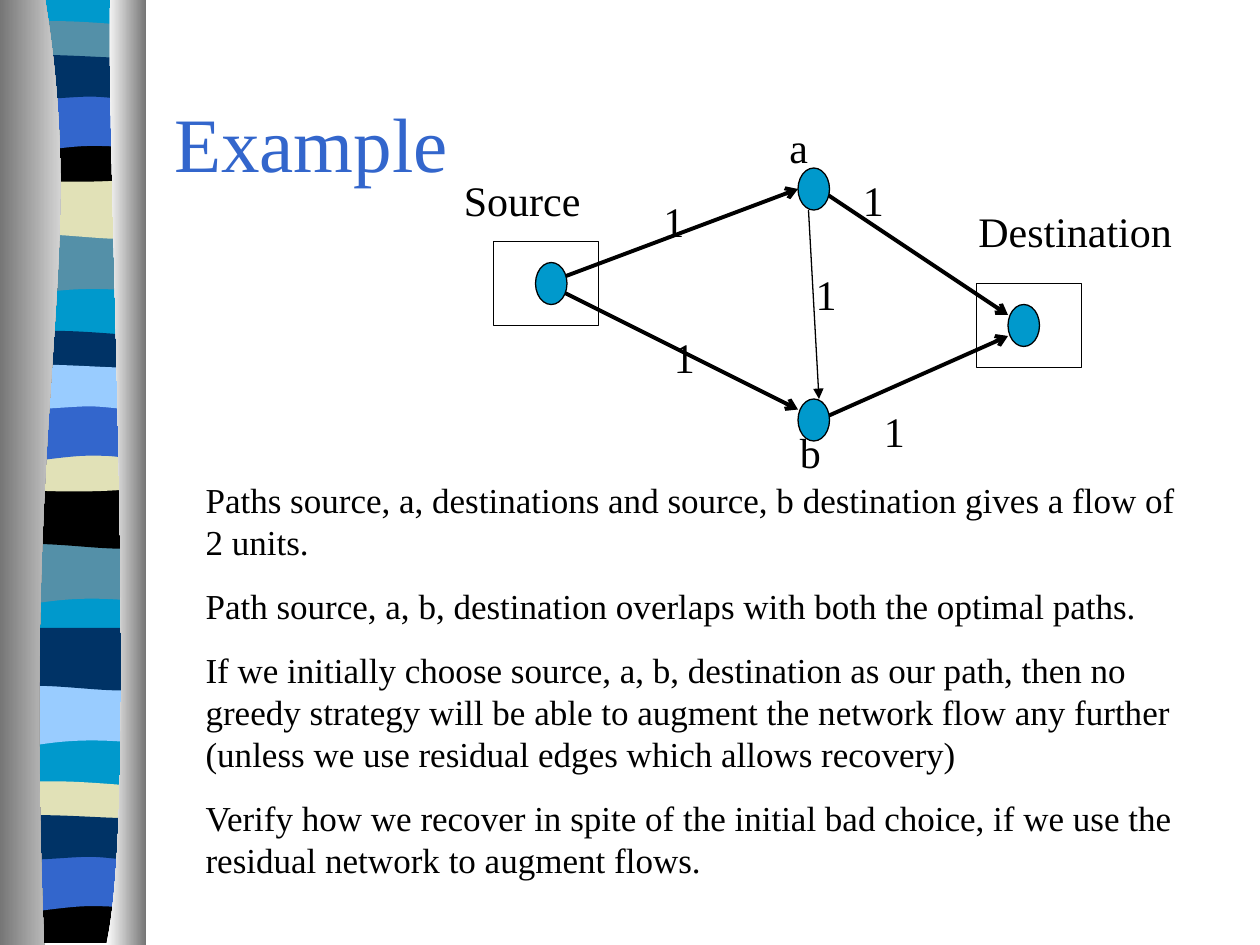
from pptx import Presentation
from pptx import util as u
from pptx.dml.color import RGBColor
from pptx.enum import shapes, text
from pptx.oxml.ns import qn
from lxml import etree

COLUMNS, ROWS = 120, 90
CELL = u.Inches(10) / COLUMNS
FONT = "Times New Roman"

BLACK = RGBColor(0x00, 0x00, 0x00)
WHITE = RGBColor(0xFF, 0xFF, 0xFF)
GRAY = RGBColor(0x76, 0x76, 0x76)
CYAN = RGBColor(0x00, 0x99, 0xCC)
TEAL = RGBColor(0x54, 0x90, 0xA8)
NAVY = RGBColor(0x00, 0x33, 0x66)
BLUE = RGBColor(0x33, 0x66, 0xCC)
SKY = RGBColor(0x99, 0xCC, 0xFF)
CREAM = RGBColor(0xE1, 0xE1, 0xB7)

FLAT = [(0, 0), (1, 0)]
CREST = [(0, 0), (0.06, -0.6), (0.22, -0.48), (0.39, -0.48),
         (0.56, -0.48), (0.87, -0.12), (1, 0)]
SWELL = [(0, 0), (0.14, -0.6), (0.68, 0), (0.84, 0),
         (1.01, 0), (0.96, 0), (1, 0)]
HUMP = [(0, 0), (0.1, 0.6), (0.45, 0), (0.61, 0),
        (0.78, 0), (0.94, 0.6), (1, 0)]
ARCH = [(0, 0), (0.16, 0), (0.44, -0.7), (0.61, -0.7),
        (0.78, -0.7), (0.84, -0.7), (1, 0)]
SAG = [(0, 0), (0.17, 0.54), (0.83, 0.54), (1, 0)]
BEND = [(0, 0), (0.61, 0.6), (0.79, 0), (1, 0)]
RIPPLE = [(0, 0), (0.31, -0.7), (0.83, 0.84), (1, 0)]
DIP = [(0, 0), (0.17, 0.96), (0.31, -0.96), (1, 0)]

BANDS = {
    "dip": (19.6, 5.7, FLAT, DIP),
    "ripple": (14.3, 5.7, FLAT, RIPPLE),
    "crest": (0, 2.9, CREST, SAG),
    "bend": (10.4, 4, BEND, SAG),
    "arch": (6.4, 5.7, FLAT, ARCH),
    "swell": (3, 3.7, SWELL, HUMP),
    "end": (10.5, 4.4, BEND, FLAT),
}
MOTIFS = [
    (0.7, 2.5, dict(dip=TEAL, ripple=CREAM, crest=TEAL,
                    bend=BLACK, arch=BLUE, swell=NAVY)),
    (0.6, 32, dict(dip=TEAL, ripple=BLACK, crest=NAVY,
                   bend=CREAM, arch=BLUE, swell=SKY)),
    (0.6, 45.5, dict(dip=SKY, ripple=NAVY)),
    (0.6, 74.9, dict(crest=CREAM, end=BLACK, arch=BLUE, swell=NAVY)),
]

STATEMENTS = [
    "Paths source, a, destinations and source, b destination gives a flow of 2 units.",
    "Path source, a, b, destination overlaps with both the optimal paths.",
    "If we initially choose source, a, b, destination as our path, then no greedy "
    "strategy will be able to augment the network flow any further "
    "(unless we use residual edges which allows recovery)",
    "Verify how we recover in spite of the initial bad choice, if we use the "
    "residual network to augment flows.",
]


def grid(*lengths):
    return [u.Emu(round(length * CELL)) for length in lengths]


def add_outline(slide, edges):
    corners = [grid(*point) for edge in edges for point in edge]
    builder = slide.shapes.build_freeform(*corners[0], scale=1.0)
    builder.add_line_segments(corners[1:], close=True)
    shape = builder.convert_to_shape()
    shape.shadow.inherit = False
    shape.line.fill.background()
    lines = list(shape._element.iter(qn("a:lnTo")))
    first = 0
    for edge in edges:
        if len(edge) > 2:
            for start in range(first, first + len(edge) - 1, 3):
                bend_curve(lines[start:start + 3])
        first += len(edge)
    return shape


def bend_curve(lines):
    curve = etree.Element(qn("a:cubicBezTo"))
    lines[0].addprevious(curve)
    for line in lines:
        curve.append(line[0])
        line.getparent().remove(line)


def add_band(slide, left, top, width, height, upper, lower, color):
    upper_edge = [(left + x * width, top + y) for x, y in upper]
    lower_edge = [(left + x * width, top + height + y) for x, y in reversed(lower)]
    shape = add_outline(slide, [upper_edge, lower_edge])
    shape.fill.solid()
    shape.fill.fore_color.rgb = color


def add_ribbon(slide, left, top, width, height):
    band_width = width - 1
    add_band(slide, left + 0.7, top, band_width, height - 0.3, FLAT, FLAT, CYAN)
    for indent, start, colors in MOTIFS:
        for name, color in colors.items():
            offset, *band = BANDS[name]
            add_band(slide, left + indent, top + start + offset, band_width, *band, color)
    covers = [
        (0, [(4.3, 0), (8.5, 26), (2, 35.5), (4.2, height)], GRAY, WHITE),
        (width, [(10.5, 0), (10.1, 15), (13.3, 77.5), (10.1, height)], WHITE, GRAY),
    ]
    for side, edge, first, last in covers:
        inner = [(left + x, top + y) for x, y in edge]
        outer = [(left + side, top + height), (left + side, top)]
        shape = add_outline(slide, [inner, outer])
        shape.fill.gradient()
        shape.fill.gradient_angle = 0
        for stop, color in zip(shape.fill.gradient_stops, (first, last)):
            stop.color.rgb = color


def add_run(paragraph, words, size, color=BLACK):
    run = paragraph.add_run()
    run.text = words
    run.font.name = FONT
    run.font.size = u.Pt(size)
    run.font.color.rgb = color


def add_text(slide, box, paragraphs, size, space=0):
    frame = slide.shapes.add_textbox(*grid(*box)).text_frame
    frame.word_wrap = True
    for index, words in enumerate(paragraphs):
        paragraph = frame.add_paragraph() if index else frame.paragraphs[0]
        paragraph.space_before = u.Pt(space)
        add_run(paragraph, words, size)


def add_preset(slide, kind, box, color=None):
    shape = slide.shapes.add_shape(kind, *grid(*box))
    shape.shadow.inherit = False
    shape.line.color.rgb = BLACK
    shape.line.width = u.Pt(0.75)
    if color is None:
        shape.fill.background()
    else:
        shape.fill.solid()
        shape.fill.fore_color.rgb = color


def add_arrow(slide, start, end, weight, head):
    arrow = slide.shapes.add_connector(
        shapes.MSO_CONNECTOR.STRAIGHT, *grid(*start, *end))
    arrow.line.color.rgb = BLACK
    arrow.line.width = u.Pt(weight)
    etree.SubElement(arrow.line._get_or_add_ln(), qn("a:tailEnd"), type=head)
    etree.SubElement(arrow._element.spPr, qn("a:effectLst"))


def add_network(slide, left, top):
    def at(x, y):
        return left + x, top + y

    def add_labels(labels):
        for words, x, y, width in labels:
            add_text(slide, (*at(x, y), width, 6), [words], 24)

    for corner in [(4, 12), (50, 16)]:
        add_preset(slide, shapes.MSO_SHAPE.RECTANGLE, (*at(*corner), 10, 8))
    for start, end in [((9, 16), (33, 7)), ((9, 16), (33, 28)),
                       ((35, 7), (53, 19)), ((35, 29), (53, 21))]:
        add_arrow(slide, at(*start), at(*end), 2.25, "arrow")
    for corner in [(8, 14), (33, 5), (53, 18), (33, 27)]:
        add_preset(slide, shapes.MSO_SHAPE.OVAL, (*at(*corner), 3, 4), CYAN)
    add_labels([("Source", 0, 5, 25), ("Destination", 49, 8, 25),
                ("1", 19, 7, 19), ("1", 38, 5, 19),
                ("1", 20, 20, 19), ("1", 40, 27, 19)])
    add_arrow(slide, at(34, 9), at(35, 27), 0.75, "triangle")
    add_labels([("1", 33.5, 14, 19), ("a", 31, 0, 6), ("b", 32, 29, 6)])


def add_title(slide, box, words):
    title = slide.shapes.title
    slide.shapes._spTree.append(title._element)
    title.left, title.top, title.width, title.height = grid(*box)
    title.text_frame.vertical_anchor = text.MSO_ANCHOR.MIDDLE
    paragraph = title.text_frame.paragraphs[0]
    paragraph.alignment = text.PP_ALIGN.LEFT
    add_run(paragraph, words, 44, BLUE)


presentation = Presentation()
presentation.slide_width, presentation.slide_height = grid(COLUMNS, ROWS)
slide = presentation.slides.add_slide(presentation.slide_layouts[5])
add_ribbon(slide, 0, 0, 13.9, ROWS)
add_title(slide, (15.4, 6, 102, 15), "Example")
add_network(slide, 43, 11)
add_text(slide, (18.4, 45, 96, 39.5), STATEMENTS, 20, 12.5)
presentation.save("out.pptx")
